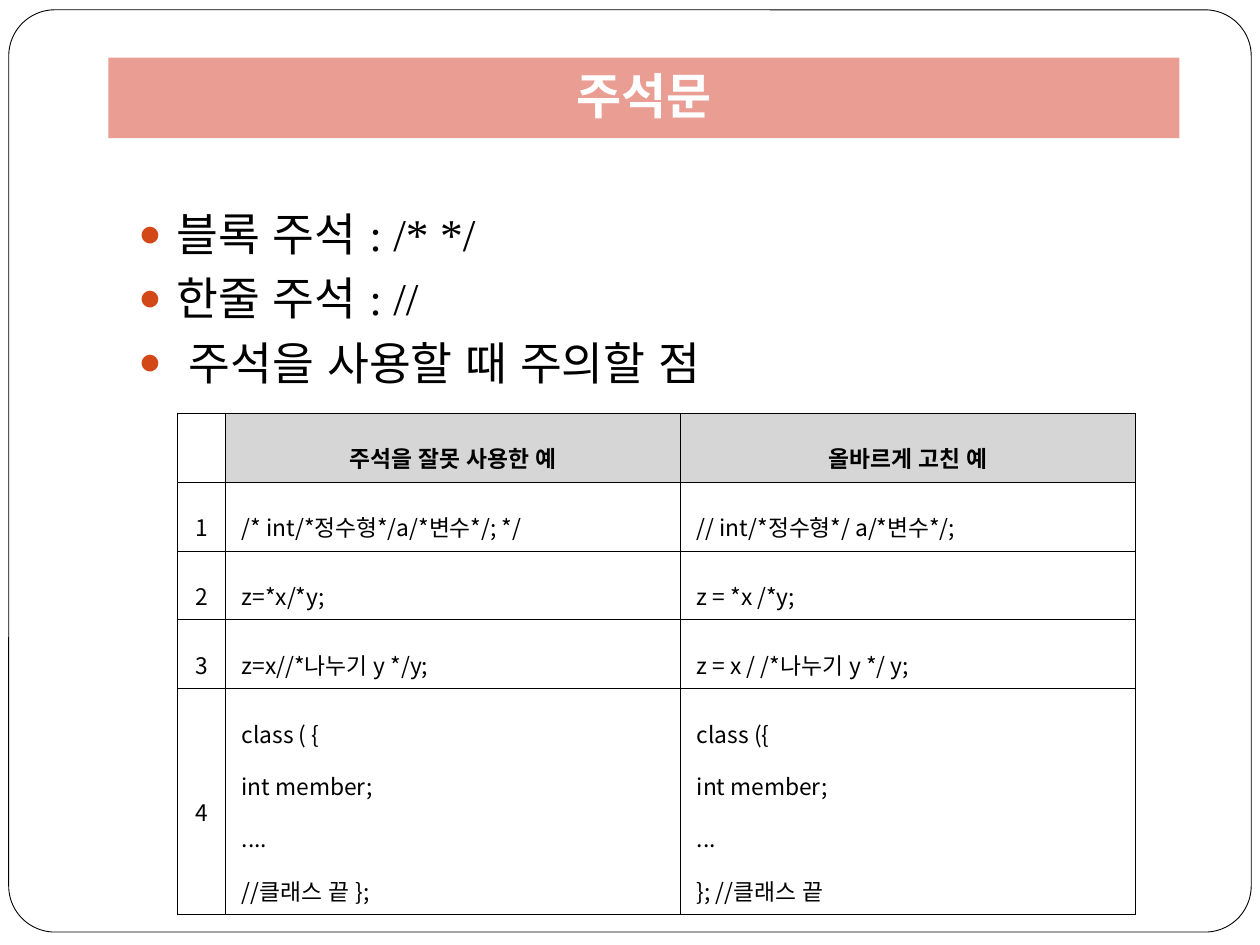
import pptx
import pptx.dml.color
import pptx.enum.lang
import pptx.enum.shapes
import pptx.enum.text
import pptx.oxml
import pptx.oxml.ns
import pptx.util

Pt = pptx.util.Pt
RGBColor = pptx.dml.color.RGBColor
ALIGN = pptx.enum.text.PP_ALIGN
MIDDLE = pptx.enum.text.MSO_ANCHOR.MIDDLE
SHAPE = pptx.enum.shapes.MSO_SHAPE
KOREAN = pptx.enum.lang.MSO_LANGUAGE_ID.KOREAN

WHITE = RGBColor(0xFF, 0xFF, 0xFF)
BLACK = RGBColor(0, 0, 0)
PINK = RGBColor(0xE9, 0x9D, 0x93)
GREY = RGBColor(0xD6, 0xD6, 0xD6)
RUST = RGBColor(0xD3, 0x48, 0x17)
SANS = "Noto Sans CJK KR"
SERIF = "Times New Roman"

TITLE = {"name": "Lato", "size": Pt(28), "bold": True}
POINT = {"name": SERIF, "size": Pt(26)}
CELL = {"name": SANS, "size": Pt(13), "bold": False}
HEAD = {**CELL, "bold": True}
PAD = {"margin_left": Pt(9.4), "margin_right": Pt(9.4),
       "margin_top": Pt(5), "margin_bottom": Pt(5),
       "vertical_anchor": MIDDLE}

POINTS = ["블록 주석 : /* */", "한줄 주석 : //", " 주석을 사용할 때 주의할 점"]
ROWS = [
    ["", "주석을 잘못 사용한 예", "올바르게 고친 예"],
    ["1", "/* int/*정수형*/a/*변수*/; */", "// int/*정수형*/ a/*변수*/;"],
    ["2", "z=*x/*y;", "z = *x /*y;"],
    ["3", "z=x//*나누기 y */y;", "z = x / /*나누기 y */ y;"],
    ["4", "class ( {\nint member;\n....\n//클래스 끝 };",
     "class ({\nint member;\n...\n}; //클래스 끝"],
]


def apply(item, form):
    for key, value in form.items():
        setattr(item, key, value)


def add_xml(parent, tag, inner="", **attrs):
    text = "".join(f' {key}="{value}"' for key, value in attrs.items())
    parent.append(pptx.oxml.parse_xml(
        f'<a:{tag} {pptx.oxml.ns.nsdecls("a")}{text}>{inner}</a:{tag}>'))


def write(frame, lines, font, color, para):
    """Fill a text frame with one paragraph per line."""
    for i, line in enumerate(lines):
        part = frame.paragraphs[0] if i == 0 else frame.add_paragraph()
        apply(part, para)
        run = part.add_run()
        run.text = line
        apply(run.font, {**font, "language_id": KOREAN})
        run.font.color.rgb = color
        add_xml(run.font._element, "ea", typeface=SANS)


def add_box(slide, box, kind, fill):
    shape = slide.shapes.add_shape(kind, *box)
    shape.shadow.inherit = False
    shape.fill.solid()
    shape.fill.fore_color.rgb = fill
    shape.line.fill.background()
    return shape


def add_frame(slide, box):
    shape = add_box(slide, box, SHAPE.ROUNDED_RECTANGLE, WHITE)
    shape.adjustments[0] = 0.05
    shape.line.color.rgb = BLACK
    shape.line.width = Pt(0.5)


def add_title(slide, box):
    frame = add_box(slide, box, SHAPE.RECTANGLE, PINK).text_frame
    apply(frame, {"margin_top": Pt(3.6), "margin_bottom": Pt(7.2),
                  "vertical_anchor": MIDDLE, "word_wrap": True})
    write(frame, ["주석문"], TITLE, WHITE, {"alignment": ALIGN.CENTER})


def add_points(slide, box):
    frame = slide.shapes.add_textbox(*box).text_frame
    apply(frame, {"word_wrap": True, "margin_top": Pt(4)})
    write(frame, POINTS, POINT, BLACK,
          {"space_before": Pt(5.8), "line_spacing": Pt(31)})
    for part in frame.paragraphs:
        props = part._p.get_or_add_pPr()
        props.set("marL", str(Pt(21.6)))
        props.set("indent", str(-Pt(21.6)))
        add_xml(props, "buClr", f'<a:srgbClr val="{RUST}"/>')
        add_xml(props, "buSzPct", val=85000)
        add_xml(props, "buFont", typeface=SERIF)
        add_xml(props, "buChar", char="●")


def add_edges(cell):
    """Draw a thin black line on all four sides."""
    props = cell._tc.get_or_add_tcPr()
    fill = f'<a:solidFill><a:srgbClr val="{BLACK}"/></a:solidFill>'
    for i, side in enumerate(["lnL", "lnR", "lnT", "lnB"]):
        add_xml(props, side, fill, w=Pt(0.28))
        props.insert(i, props[-1])


def add_grid(slide, box):
    left, top, width, height = box
    table = slide.shapes.add_table(len(ROWS), 3, *box).table
    apply(table, {"first_row": False, "horz_banding": False})
    # Four equal rows, then a tall one for the code lines
    slim, low = Pt(27.4), Pt(39.3)
    wide = (width - slim) // 2
    for col, size in zip(table.columns, [slim, wide, wide]):
        col.width = size
    for row, size in zip(table.rows, [low] * 4 + [height - 4 * low]):
        row.height = size
    for r, row in enumerate(ROWS):
        for c, text in enumerate(row):
            cell = table.cell(r, c)
            apply(cell, PAD)
            mid = r == 0 or c == 0
            write(cell.text_frame, text.split("\n"), CELL if r else HEAD, BLACK,
                  {"alignment": ALIGN.CENTER if mid else ALIGN.JUSTIFY,
                   "line_spacing": 1.6})
            if r == 0 and c > 0:
                cell.fill.solid()
                cell.fill.fore_color.rgb = GREY
            else:
                cell.fill.background()
            add_edges(cell)


def main():
    deck = pptx.Presentation()
    apply(deck, {"slide_width": Pt(720), "slide_height": Pt(540)})
    slide = deck.slides.add_slide(deck.slide_layouts[6])
    add_frame(slide, (Pt(5), Pt(5.6), Pt(710), Pt(527)))
    add_title(slide, (Pt(62), Pt(33), Pt(612), Pt(46)))
    add_points(slide, (Pt(72), Pt(113.8), Pt(612), Pt(360)))
    add_grid(slide, (Pt(101.4), Pt(236.2), Pt(547.6), Pt(286.4)))
    deck.save("out.pptx")


if __name__ == "__main__":
    main()
